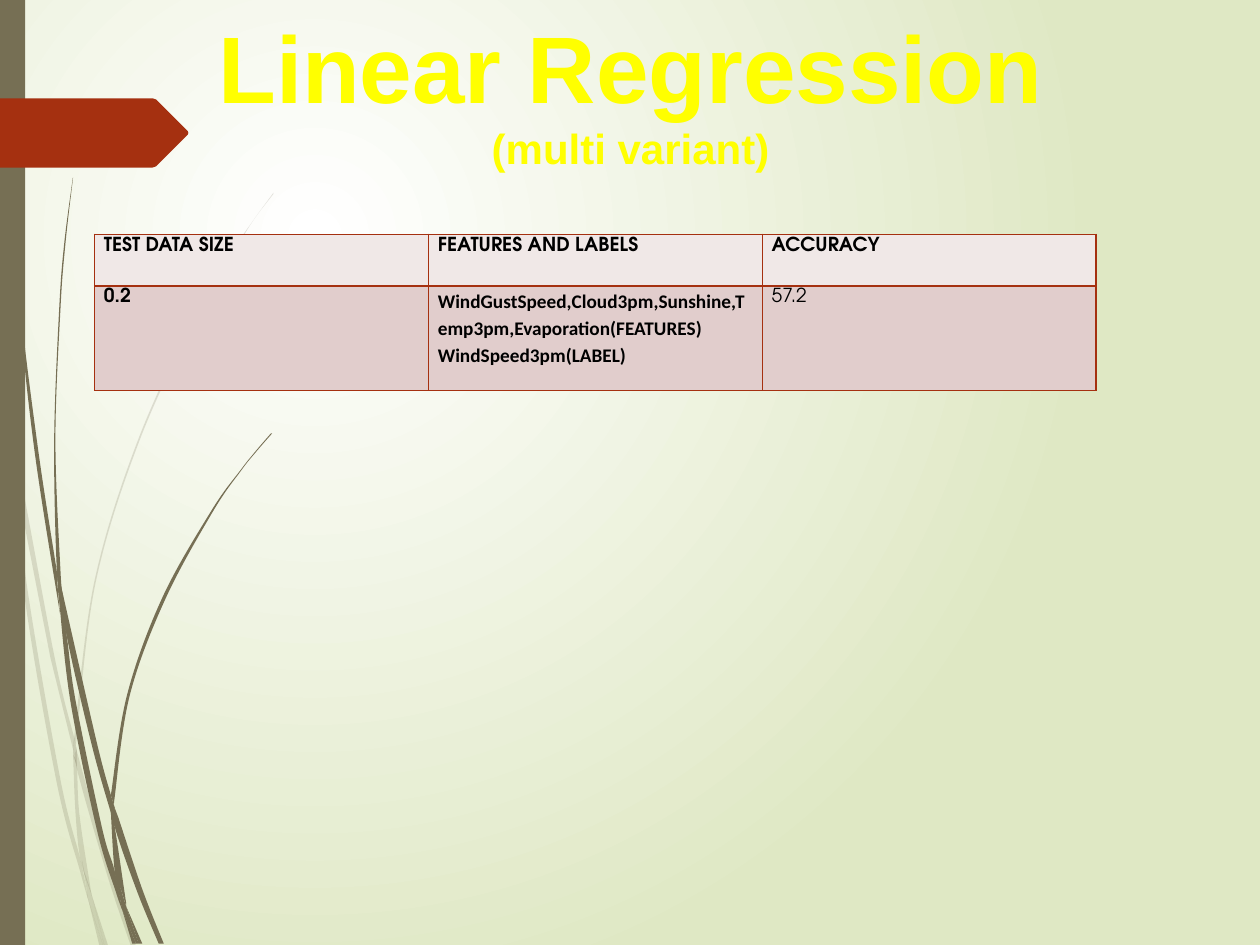
from dataclasses import dataclass

from lxml.etree import SubElement
from pptx import Presentation
from pptx.dml.color import RGBColor
from pptx.enum.shapes import MSO_SHAPE
from pptx.enum.text import MSO_ANCHOR, MSO_AUTO_SIZE, PP_ALIGN
from pptx.oxml.ns import qn
from pptx.util import Inches, Pt

COLORS = {
    "white": "FFFFFF", "mist": "DFE8C4", "olive": "766F54", "brick": "A53010",
    "yellow": "FFFF00", "grey": "7D7D7D", "black": "000000",
    "header": "F0E8E7", "body": "E1CDCC",
}
COLUMNS, ROWS = 1000, 750
CELL = Inches(10) // COLUMNS
FINE = 36
TABLE_FONT = "TeX Gyre Adventor"
Points = list[tuple[float, float]]


@dataclass(frozen=True)
class Blade:
    """A grass blade bounded by two smooth edges, in grid columns and rows."""
    outward: Points
    back: Points


@dataclass(frozen=True)
class Entry:
    """The text lines of one table cell and their font."""
    lines: tuple[str, ...]
    font: str = TABLE_FONT
    bold: bool = True


PALE_BLADES = [
    Blade([(8, 350), (6, 322), (0, 282)], [(0, 299), (7, 344), (8, 350)]),
    Blade([(40, 522), (59, 599)], [(59, 586), (43, 520), (10, 345), (12, 376), (40, 522)]),
    Blade([(61, 596), (61, 610), (85, 694), (104, 751)], [(108, 751), (88, 692), (64, 607)]),
    Blade([(73, 711), (83, 751)], [(86, 751), (73, 711)]),
    Blade([(70, 714), (64, 683), (48, 619), (22, 469), (12, 376), (8, 350)],
          [(8, 350), (19, 470), (45, 621), (64, 693), (70, 714)]),
    Blade([(58, 599), (60, 646), (64, 683), (73, 711)],
          [(72, 706), (63, 646), (61, 608), (58, 599)]),
    Blade([(61, 596), (61, 584), (76, 462), (111, 349), (159, 245), (187, 198), (201, 175), (217, 154)],
          [(217, 153), (201, 175), (186, 197), (158, 244), (110, 348), (75, 461), (59, 584), (59, 586)]),
    Blade([(70, 714), (79, 751)], [(82, 751), (70, 714)]),
    Blade([(61, 608), (61, 596), (59, 586)], [(58, 599), (61, 608)]),
    Blade([(67, 692), (65, 683), (69, 707), (70, 714), (82, 751)], [(83, 751), (73, 711), (67, 692)]),
]
DARK_BLADES = [
    Blade([(2, 0), (3, 48), (5, 110), (14, 233), (27, 355), (46, 477), (47, 481)],
          [(45, 457), (45, 453), (30, 355), (15, 232), (6, 109), (4, 48), (3, 0)]),
    Blade([(50, 472), (53, 505), (73, 592), (88, 645)], [(88, 631), (77, 590), (50, 472)]),
    Blade([(91, 641), (91, 656), (109, 708), (126, 749)], [(130, 749), (113, 706), (94, 649)]),
    Blade([(97, 722), (91, 691), (81, 657), (60, 556), (53, 505), (47, 477)],
          [(47, 477), (56, 557), (77, 659), (92, 708), (97, 722)]),
    Blade([(50, 472), (48, 453), (44, 349), (48, 245), (52, 193), (58, 141)],
          [(57.8, 141), (51, 193), (47, 245), (43, 349), (45, 449), (49, 472)]),
    Blade([(100, 719), (110, 749)], [(113, 749), (100, 719)]),
    Blade([(45, 449), (47, 477), (53, 505)], [(50, 472), (45, 449)]),
    Blade([(91, 641), (91, 633), (103, 552), (131, 476), (169, 406), (191, 374), (203, 359), (216, 344)],
          [(215, 344), (203, 358), (191, 373), (168, 405), (129, 474), (101, 551), (88, 631)]),
    Blade([(97, 722), (105, 749)], [(108, 749), (97, 722)]),
    Blade([(88, 645), (91, 691), (96, 706), (100, 719)], [(100, 716), (91, 656), (88, 645)]),
    Blade([(88, 645), (91, 656), (91, 641)], [(88, 631), (88, 645)]),
    Blade([(96, 706), (91, 691), (96, 717), (97, 722), (108, 749)], [(110, 749), (100, 719), (96, 706)]),
]
TABLE_ENTRIES = [
    [Entry(("TEST DATA SIZE",)), Entry(("FEATURES AND LABELS",)), Entry(("ACCURACY",))],
    [Entry(("0.2",)),
     Entry(("WindGustSpeed,Cloud3pm,Sunshine,Temp3pm,Evaporation(FEATURES)",
            "WindSpeed3pm(LABEL)"), font="Calibri"),
     Entry(("57.2",), bold=False)],
]


def rgb(name: str) -> RGBColor:
    """Look up a named colour."""
    return RGBColor.from_string(COLORS[name])


def handles(edge: Points) -> list[Points]:
    """Give the two Bezier handles of each segment of a smooth edge."""
    padded = [edge[0], *edge, edge[-1]]
    return [[tuple(q + (r - p) / 6 for p, q, r in zip(a, b, c)),
             tuple(r - (s - q) / 6 for q, r, s in zip(b, c, d))]
            for a, b, c, d in zip(padded, padded[1:], padded[2:], padded[3:])]


def paint(shape, color: str, opacity: int = 100) -> None:
    """Fill a shape flat, without outline or shadow."""
    shape.shadow.inherit = False
    shape.line.fill.background()
    shape.fill.solid()
    shape.fill.fore_color.rgb = rgb(color)
    if opacity < 100:
        tint = shape.fill._xPr.find(f".//{qn('a:srgbClr')}")
        SubElement(tint, qn("a:alpha"), val=str(opacity * 1000))


def draw_outline(slide, outline: Points, color: str, opacity: int = 100):
    """Draw a closed outline given in grid units."""
    fine = [(x * FINE, y * FINE) for x, y in outline]
    builder = slide.shapes.build_freeform(*fine[0], scale=CELL / FINE)
    builder.add_line_segments(fine[1:], close=True)
    shape = builder.convert_to_shape()
    paint(shape, color, opacity)
    return shape


def draw_blade(slide, blade: Blade, opacity: int) -> None:
    """Draw a blade and bend its segments into Bezier curves."""
    outline = blade.outward + blade.back
    shape = draw_outline(slide, outline, "olive", opacity)
    corner = [min(axis) for axis in zip(*outline)]
    segments = list(shape._element.iter(qn("a:lnTo")))
    bends = [*handles(blade.outward), None, *handles(blade.back)]
    for segment, bend in zip(segments, bends):
        if bend is None:
            if blade.outward[-1] == blade.back[0]:
                segment.getparent().remove(segment)
            continue
        segment.tag = qn("a:cubicBezTo")
        for index, handle in enumerate(bend):
            x, y = (str(round((at - start) * FINE)) for at, start in zip(handle, corner))
            segment.insert(index, SubElement(segment, qn("a:pt"), x=x, y=y))


def draw_background(slide) -> None:
    """Spread a circular gradient over the slide."""
    fill = slide.background.fill
    fill.gradient()
    for stop, color, position in zip(fill.gradient_stops, ("white", "mist"), (0, 1)):
        stop.color.rgb = rgb(color)
        stop.position = position
    gradient = slide._element.find(f".//{qn('a:gradFill')}")
    gradient.remove(gradient.find(qn("a:lin")))
    circle = SubElement(gradient, qn("a:path"), path="circle")
    SubElement(circle, qn("a:fillToRect"), l="50000", t="50000", r="100000", b="100000")


def draw_decoration(slide) -> None:
    """Draw the grass, the side bar and the arrow tab."""
    for blades, opacity in ((PALE_BLADES, 20), (DARK_BLADES, 100)):
        for blade in blades:
            draw_blade(slide, blade, opacity)
    side_bar = slide.shapes.add_shape(MSO_SHAPE.RECTANGLE, 0, 0, 20 * CELL, ROWS * CELL)
    paint(side_bar, "olive")
    arrow_tab = [(0, 78), (121, 78), (124, 79), (149, 104), (149.5, 105.5),
                 (149, 107), (124, 132), (121, 133), (0, 133)]
    draw_outline(slide, arrow_tab, "brick")


def draw_title(slide) -> None:
    """Place and format the two-line title above the decoration."""
    title = slide.shapes.title
    title.left, title.top, title.width, title.height = (
        part * CELL for part in (128, 2, 745, 141))
    slide.shapes._spTree.append(title._element)
    frame = title.text_frame
    frame.word_wrap = False
    frame.auto_size = MSO_AUTO_SIZE.SHAPE_TO_FIT_TEXT
    frame.vertical_anchor = MSO_ANCHOR.MIDDLE
    for index, (words, size) in enumerate((("Linear Regression", 54), ("(multi variant)", 24))):
        paragraph = frame.add_paragraph() if index else frame.paragraphs[0]
        paragraph.alignment = PP_ALIGN.CENTER
        run = paragraph.add_run()
        run.text = words
        run.font.name, run.font.size, run.font.bold = "Arial", Pt(size), True
        run.font.color.rgb = rgb("yellow")
        properties = run._r.get_or_add_rPr()
        edge = SubElement(properties, qn("a:ln"), w=str(Pt(0.83)))
        SubElement(SubElement(edge, qn("a:solidFill")), qn("a:srgbClr"), val=COLORS["grey"])
        properties.insert(0, edge)


def fill_cell(cell, entry: Entry, color: str) -> None:
    """Write one table cell with its borders and fill."""
    cell.margin_left, cell.margin_right = Pt(5.4), Pt(5.6)
    cell.margin_top = cell.margin_bottom = 0
    for index, words in enumerate(entry.lines):
        frame = cell.text_frame
        paragraph = frame.add_paragraph() if index else frame.paragraphs[0]
        paragraph.line_spacing = 1.15
        run = paragraph.add_run()
        run.text = words
        run.font.name, run.font.size, run.font.bold = entry.font, Pt(11), entry.bold
        run.font.color.rgb = rgb("black")
    for side in ("a:lnL", "a:lnR", "a:lnT", "a:lnB"):
        border = SubElement(cell._tc.get_or_add_tcPr(), qn(side), w=str(Pt(1)))
        SubElement(SubElement(border, qn("a:solidFill")), qn("a:srgbClr"), val=COLORS["brick"])
    cell.fill.solid()
    cell.fill.fore_color.rgb = rgb(color)


def draw_table(slide) -> None:
    """Draw the accuracy table."""
    table = slide.shapes.add_table(2, 3, 75 * CELL, 186 * CELL, 795 * CELL, 124 * CELL).table
    table.first_row = table.horz_banding = False
    table.rows[0].height, table.rows[1].height = 41 * CELL, 83 * CELL
    for row, (entries, color) in enumerate(zip(TABLE_ENTRIES, ("header", "body"))):
        for column, entry in enumerate(entries):
            fill_cell(table.cell(row, column), entry, color)


def main() -> None:
    """Build and save the slide."""
    deck = Presentation()
    deck.slide_width, deck.slide_height = COLUMNS * CELL, ROWS * CELL
    slide = deck.slides.add_slide(deck.slide_layouts[5])
    for draw in (draw_background, draw_decoration, draw_title, draw_table):
        draw(slide)
    deck.save("out.pptx")


if __name__ == "__main__":
    main()
